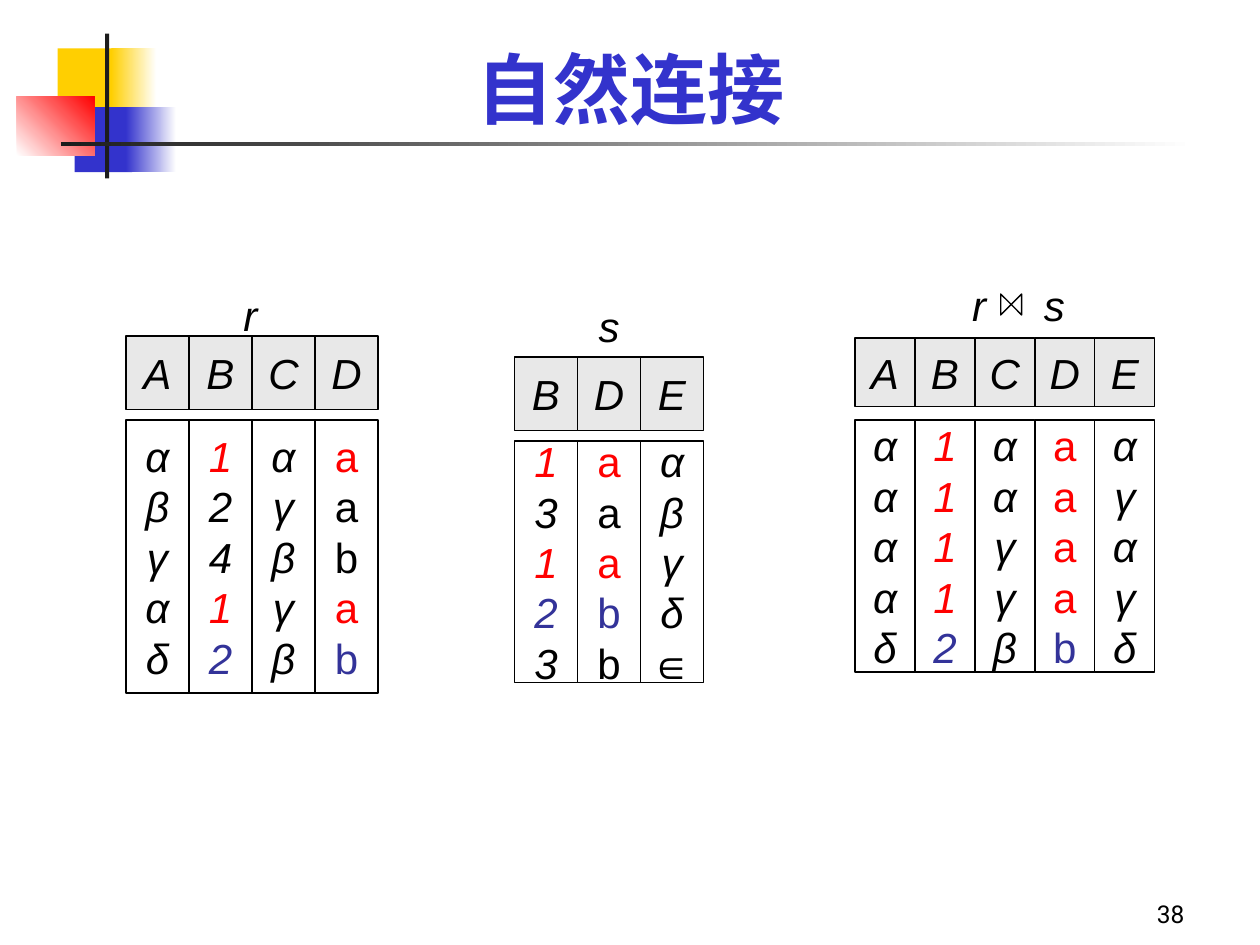
from dataclasses import dataclass
from typing import Optional

from lxml.etree import SubElement
from pptx import Presentation
from pptx.dml.color import RGBColor
from pptx.enum.shapes import MSO_SHAPE
from pptx.enum.text import MSO_ANCHOR, PP_ALIGN
from pptx.oxml.ns import qn
from pptx.util import Inches, Pt

COLS, ROWS = 120, 90
BLACK, WHITE, RED, NAVY = "000000", "FFFFFF", "FF0000", "333399"
GOLD, BLUE, DARK, GREY = "FFCF01", "3333CC", "1C1C1C", "E8E8E8"
MARKS = {"*": RED, "+": NAVY}

deck = Presentation()
deck.slide_width, deck.slide_height = Inches(10), Inches(7.5)
slide = deck.slides.add_slide(deck.slide_layouts[6])


@dataclass
class Box:
    x: float
    y: float
    w: float
    h: float

    def place(self) -> list[int]:
        wide, high = deck.slide_width / COLS, deck.slide_height / ROWS
        return [round(n) for n in (self.x * wide, self.y * high, self.w * wide, self.h * high)]


@dataclass
class Block:
    box: Box
    first: str
    last: Optional[str] = None
    angle: int = 0


@dataclass
class Column:
    name: str
    items: str
    slant: bool = True


@dataclass
class Table:
    x: float
    wide: float
    top: float
    head: float
    body: float
    high: float
    columns: list[Column]


def paint(text: str) -> RGBColor:
    return RGBColor.from_string(text)


def write(shape, text: str, size: float = 24, font: str = "Arial", color: str = BLACK,
          bold: bool = False, slant: bool = True, align=PP_ALIGN.CENTER,
          anchor=MSO_ANCHOR.MIDDLE, wrap: bool = False, inset: Optional[float] = None,
          pitch: Optional[float] = None, tab: Optional[float] = None) -> None:
    frame = shape.text_frame
    frame.word_wrap, frame.vertical_anchor = wrap, anchor
    if inset is not None:
        frame.margin_left = frame.margin_right = Inches(inset)
        frame.margin_top = frame.margin_bottom = Inches(inset)
    for i, item in enumerate(text.split("\n")):
        para = frame.add_paragraph() if i else frame.paragraphs[0]
        para.alignment = align
        if pitch:
            para.line_spacing = Pt(pitch)
        if tab:
            stops = SubElement(para._p.get_or_add_pPr(), qn("a:tabLst"))
            SubElement(stops, qn("a:tab"), pos=str(Inches(tab)), algn="l")
        run = para.add_run()
        run.text = item.rstrip("*+")
        face = run.font
        face.size, face.name, face.bold, face.italic = Pt(size), font, bold, slant
        face.color.rgb = paint(MARKS.get(item[-1], color))
        SubElement(run._r.get_or_add_rPr(), qn("a:ea"), typeface=font)


def label(box: Box, text: str, **style) -> None:
    write(slide.shapes.add_textbox(*box.place()), text, **style)


def draw(box: Box, fill: Optional[str] = None, line: Optional[str] = None,
         kind=MSO_SHAPE.RECTANGLE):
    shape = slide.shapes.add_shape(kind, *box.place())
    shape.shadow.inherit = False
    if fill:
        shape.fill.solid()
        shape.fill.fore_color.rgb = paint(fill)
    if line:
        shape.line.color.rgb = paint(line)
        shape.line.width = Pt(0.75)
    else:
        shape.line.fill.background()
    return shape


def adorn(block: Block) -> None:
    if not block.last:
        draw(block.box, block.first)
        return
    fill = draw(block.box).fill
    fill.gradient()
    fill.gradient_angle = block.angle
    for stop, color in zip(fill.gradient_stops, (block.first, block.last)):
        stop.color.rgb = paint(color)


def build(table: Table) -> None:
    for i, col in enumerate(table.columns):
        x = table.x + i * table.wide
        head = draw(Box(x, table.top, table.wide, table.head), GREY, BLACK)
        write(head, col.name, inset=0)
        body = draw(Box(x, table.body, table.wide, table.high), WHITE, BLACK)
        write(body, "\n".join(col.items.split()), slant=col.slant, inset=0, pitch=28.8)


BLOCKS = [
    Block(Box(5.5, 4.6, 5.8, 6.2), GOLD),
    Block(Box(10.6, 4.6, 4.3, 6.2), GOLD, WHITE),
    Block(Box(7.1, 10.2, 5.5, 6.2), BLUE),
    Block(Box(12, 10.2, 4.8, 6.2), BLUE, WHITE),
    Block(Box(1.6, 9.2, 7.4, 5.6), WHITE, RED, 45),
    Block(Box(10, 3.2, 0.4, 13.8), DARK),
    Block(Box(5.8, 13.5, 108, 0.4), DARK, WHITE),
]
TABLES = [
    Table(12, 6, 32, 7, 40, 26, [
        Column("A", "α β γ α δ"),
        Column("B", "1* 2 4 1* 2+"),
        Column("C", "α γ β γ β"),
        Column("D", "a* a b a* b+", False),
    ]),
    Table(49, 6, 34, 7, 42, 23, [
        Column("B", "1* 3 1* 2+ 3"),
        Column("D", "a* a a* b+ b", False),
        Column("E", "α β γ δ ∈"),
    ]),
    Table(81.43, 5.71, 32.2, 6.5, 40, 24, [
        Column("A", "α α α α δ"),
        Column("B", "1* 1* 1* 1* 2+"),
        Column("C", "α α γ γ β"),
        Column("D", "a* a* a* a* b+", False),
        Column("E", "α γ α γ δ"),
    ]),
]

for block in BLOCKS:
    adorn(block)
label(Box(9, 3, 102.2, 10.3), "自然连接", size=44, font="Noto Sans CJK SC", color=BLUE,
      bold=True, slant=False, anchor=MSO_ANCHOR.BOTTOM, wrap=True)
for table in TABLES:
    build(table)
label(Box(22, 27, 3.7, 6), "r")
label(Box(55.8, 28, 4.4, 6), "s")
label(Box(91.4, 26, 15, 5.4), "r\ts", align=PP_ALIGN.LEFT, anchor=MSO_ANCHOR.TOP,
      wrap=True, tab=0.57)
bow = draw(Box(95.3, 28, 2, 2), WHITE, BLACK, MSO_SHAPE.FLOWCHART_COLLATE)
bow.rotation = 90
label(Box(89, 83, 25, 6), "38", size=14, font="Roboto", slant=False,
      align=PP_ALIGN.RIGHT, anchor=MSO_ANCHOR.BOTTOM, wrap=True)
deck.save("out.pptx")
